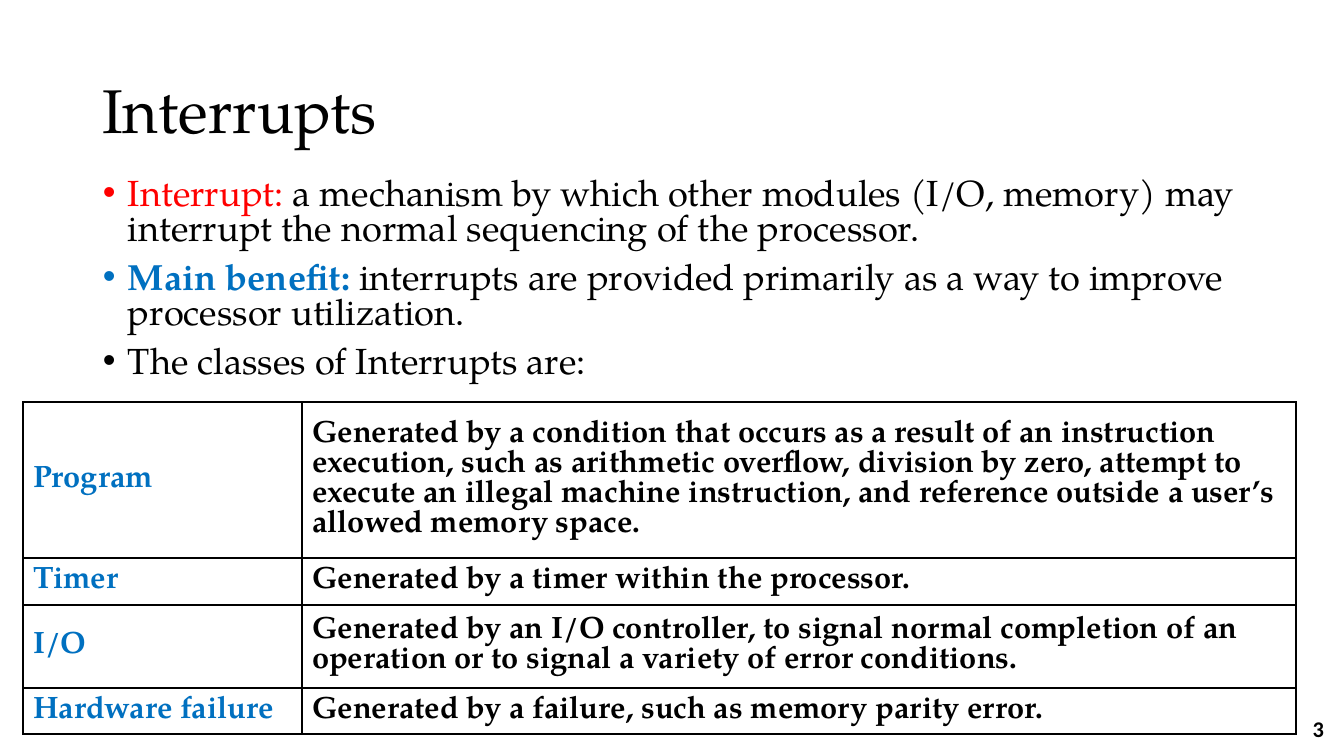
from dataclasses import dataclass
from typing import NamedTuple

from lxml.etree import SubElement
from pptx import Presentation
from pptx.dml.color import RGBColor
from pptx.enum.text import MSO_ANCHOR as Anchor, MSO_AUTO_SIZE as AutoSize, PP_ALIGN as Align
from pptx.oxml.ns import qn
from pptx.util import Emu, Pt

EMU_PER_PIXEL = 914400 / 100.8


def px(pixels: int) -> Emu:
    return Emu(round(pixels * EMU_PER_PIXEL))


@dataclass(frozen=True)
class Theme:
    serif: str = "TeX Gyre Pagella"
    sans: str = "Calibri"
    black: str = "000000"
    red: str = "FF0000"
    blue: str = "0070C0"
    title_size: float = 44
    body_size: float = 25.9
    table_size: float = 22
    number_size: float = 16
    border_width: float = 1


class Box(NamedTuple):
    left: int
    top: int
    width: int
    height: int


class Bullet(NamedTuple):
    text: str
    lead: str = ""
    lead_color: str = ""
    lead_bold: bool = False


class InterruptClass(NamedTuple):
    name: str
    cause: str
    height: int


THEME = Theme()

BULLETS = [
    Bullet(" a mechanism by which other modules (I/O, memory) may interrupt "
           "the normal sequencing of the processor.", "Interrupt:", THEME.red),
    Bullet(" interrupts are provided primarily as a way to improve "
           "processor utilization. ", "Main benefit:", THEME.blue, True),
    Bullet("The classes of Interrupts are:"),
]
CLASSES = [
    InterruptClass("Program", "Generated by a condition that occurs as a result of an "
                   "instruction execution, such as arithmetic overflow, division by zero, "
                   "attempt to execute an illegal machine instruction, and reference "
                   "outside a user’s allowed memory space.", 156),
    InterruptClass("Timer", "Generated by a timer within the processor.", 47),
    InterruptClass("I/O", "Generated by an I/O controller, to signal normal completion of an "
                   "operation or to signal a variety of error conditions.", 83),
    InterruptClass("Hardware failure", "Generated by a failure, such as memory parity error.", 46),
]
COLUMN_WIDTHS = [279, 994]


def add_text(paragraph, text: str, *, size: float, color: str = THEME.black,
             bold: bool = False, font: str = THEME.serif, align=Align.LEFT,
             line_spacing: float = 1.0) -> None:
    paragraph.alignment = align
    paragraph.line_spacing = line_spacing
    run = paragraph.add_run()
    run.text = text
    run.font.name = font
    run.font.size = Pt(size)
    run.font.bold = bold
    run.font.color.rgb = RGBColor.from_string(color)


def place(shape, box: Box, anchor) -> None:
    shape.left, shape.top, shape.width, shape.height = map(px, box)
    frame = shape.text_frame
    frame.word_wrap = True
    frame.auto_size = AutoSize.NONE
    frame.vertical_anchor = anchor


def add_text_box(slide, box: Box, anchor):
    shape = slide.shapes.add_textbox(0, 0, 0, 0)
    place(shape, box, anchor)
    return shape.text_frame


def set_bullet(paragraph) -> None:
    properties = paragraph._p.get_or_add_pPr()
    indent = px(25)
    properties.set("marL", str(indent))
    properties.set("indent", str(-indent))
    SubElement(properties, qn("a:buFont"), typeface="Arial")
    SubElement(properties, qn("a:buChar"), char="•")


def set_borders(cell) -> None:
    properties = cell._tc.get_or_add_tcPr()
    for position, side in enumerate(("a:lnL", "a:lnR", "a:lnT", "a:lnB")):
        line = properties.makeelement(qn(side), {"w": str(Pt(THEME.border_width))})
        fill = SubElement(line, qn("a:solidFill"))
        SubElement(fill, qn("a:srgbClr"), val=THEME.black)
        properties.insert(position, line)


def add_bullets(slide, box: Box, bullets: list[Bullet]) -> None:
    frame = add_text_box(slide, box, Anchor.TOP)
    for index, bullet in enumerate(bullets):
        paragraph = frame.add_paragraph() if index else frame.paragraphs[0]
        paragraph.space_before = Pt(10)
        style = dict(size=THEME.body_size, line_spacing=0.8)
        if bullet.lead:
            add_text(paragraph, bullet.lead, color=bullet.lead_color,
                     bold=bullet.lead_bold, **style)
        add_text(paragraph, bullet.text, **style)
        set_bullet(paragraph)


def add_class_table(slide, left: int, top: int, classes: list[InterruptClass]) -> None:
    height = sum(item.height for item in classes)
    table = slide.shapes.add_table(len(classes), len(COLUMN_WIDTHS), px(left), px(top),
                                   px(sum(COLUMN_WIDTHS)), px(height)).table
    table.first_row = table.horz_banding = False
    for column, width in zip(table.columns, COLUMN_WIDTHS):
        column.width = px(width)
    for row, item in zip(table.rows, classes):
        row.height = px(item.height)
        contents = ((item.name, THEME.blue), (item.cause, THEME.black))
        for cell, (text, color) in zip(row.cells, contents):
            cell.fill.background()
            cell.vertical_anchor = Anchor.MIDDLE
            add_text(cell.text_frame.paragraphs[0], text, size=THEME.table_size,
                     color=color, bold=True)
            set_borders(cell)


# Slide
presentation = Presentation()
presentation.slide_width, presentation.slide_height = px(1344), px(756)
slide = presentation.slides.add_slide(presentation.slide_layouts[5])

# Title
title = slide.shapes.title
place(title, Box(92, 41, 1159, 146), Anchor.MIDDLE)
add_text(title.text_frame.paragraphs[0], "Interrupts", size=THEME.title_size, line_spacing=0.9)

# Definition and benefit
add_bullets(slide, Box(93, 174, 1181, 221), BULLETS)

# Slide number
number = add_text_box(slide, Box(1032, 709, 302, 40), Anchor.MIDDLE)
add_text(number.paragraphs[0], "3", size=THEME.number_size, bold=True,
         font=THEME.sans, align=Align.RIGHT)

# Classes of interrupts
add_class_table(slide, 23, 402, CLASSES)

presentation.save("out.pptx")
